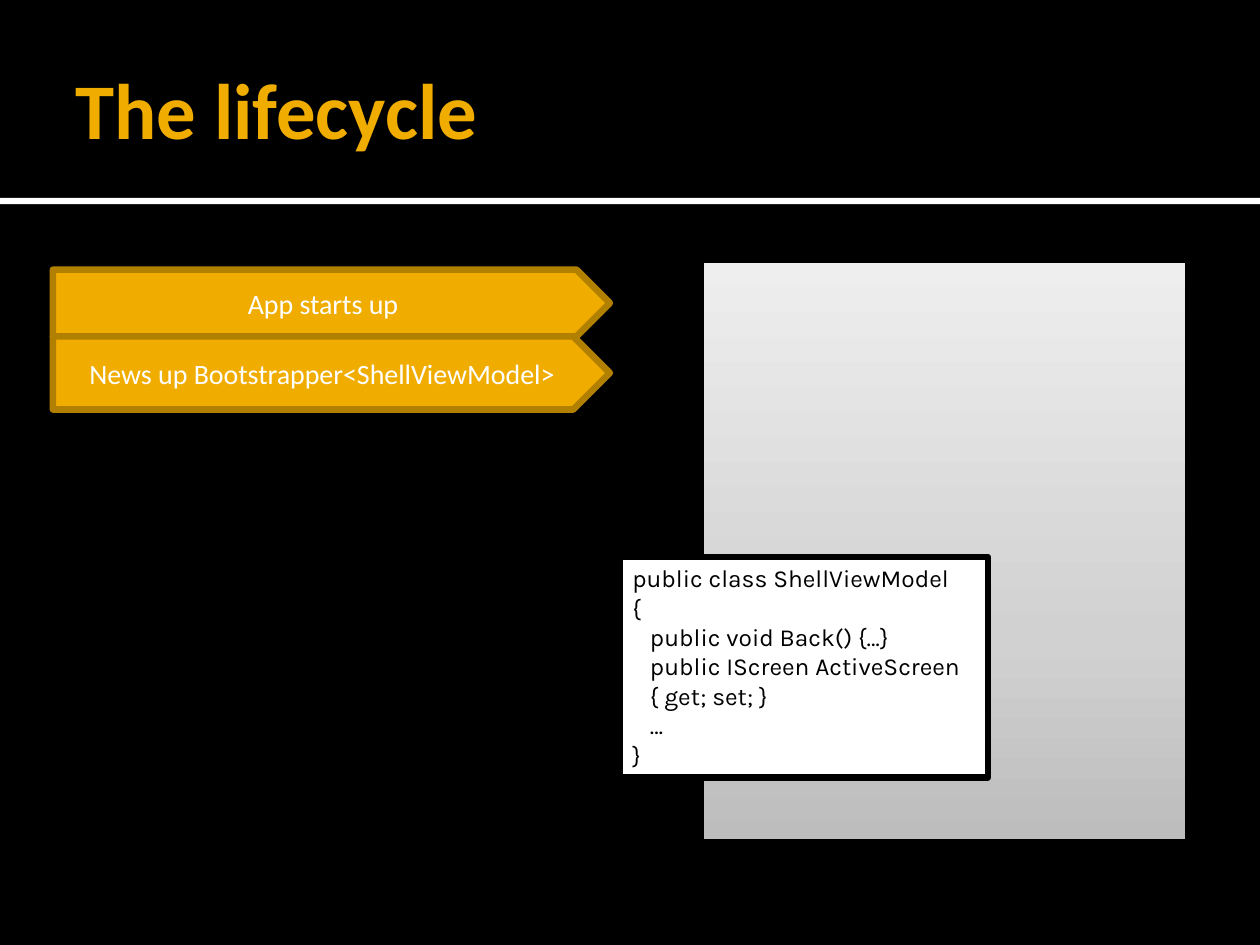
from copy import deepcopy

from pptx import Presentation
from pptx.dml.color import RGBColor
from pptx.enum.shapes import MSO_SHAPE
from pptx.enum.text import MSO_ANCHOR, MSO_AUTO_SIZE, PP_ALIGN
from pptx.oxml.ns import qn
from pptx.util import Inches, Pt

RECTANGLE, PENTAGON = MSO_SHAPE.RECTANGLE, MSO_SHAPE.PENTAGON
MIDDLE, TOP = MSO_ANCHOR.MIDDLE, MSO_ANCHOR.TOP
LEFT, CENTER = PP_ALIGN.LEFT, PP_ALIGN.CENTER
NO_FIT, GROW = MSO_AUTO_SIZE.NONE, MSO_AUTO_SIZE.SHAPE_TO_FIT_TEXT
TITLE_ONLY = 5

COLORS = {"black": "000000", "white": "FFFFFF", "amber": "F0AD00", "dark amber": "B28000",
          "gray": "BDBDBD", "light gray": "D1D1D1", "pale gray": "EEEEEE"}
PANEL_STOPS = [(0, "gray"), (0.35, "light gray"), (1, "pale gray")]
HEADING_FONT, CODE_FONT = "Calibri", "Karla"
BORDER = 3.78
CODE_INDENT = 0.14

STEPS = [("App starts up", 0.53), ("News up Bootstrapper<ShellViewModel>", 0.58)]
CODE = [  # (indent level, line)
    (0, "public class ShellViewModel"),
    (0, "{"),
    (1, "public void Back() {…}"),
    (1, "public IScreen ActiveScreen"),
    (1, "{ get; set; }"),
    (1, "…"),
    (0, "}"),
]


def rgb(name):
    return RGBColor.from_string(COLORS[name])


class LifecycleSlide:
    def __init__(self, presentation):
        self.slide = presentation.slides.add_slide(presentation.slide_layouts[TITLE_ONLY])
        background = self.slide.background.fill
        background.solid()
        background.fore_color.rgb = rgb("black")

    def add_text(self, paragraph, text, font, size, color, align=LEFT, bold=False):
        paragraph.alignment = align
        run = paragraph.add_run()
        run.text = text
        run.font.name = font
        run.font.size = Pt(size)
        run.font.bold = bold
        run.font.color.rgb = rgb(color)

    def title(self, text, left, top, width, height):
        shape = self.slide.shapes.title
        shape.left, shape.top = Inches(left), Inches(top)
        shape.width, shape.height = Inches(width), Inches(height)
        frame = shape.text_frame
        frame.auto_size = NO_FIT
        frame.vertical_anchor = MIDDLE
        frame.margin_left = Inches(0.1)
        frame.margin_right = frame.margin_top = frame.margin_bottom = Inches(0.05)
        self.add_text(frame.paragraphs[0], text, HEADING_FONT, 45, "amber", bold=True)

    def box(self, kind, left, top, width, height, fill=None, line=None, line_width=BORDER):
        shape = self.slide.shapes.add_shape(
            kind, Inches(left), Inches(top), Inches(width), Inches(height))
        shape.shadow.inherit = False
        if fill:
            shape.fill.solid()
            shape.fill.fore_color.rgb = rgb(fill)
        if line:
            shape.line.color.rgb = rgb(line)
            shape.line.width = Pt(line_width)
        else:
            shape.line.fill.background()
        return shape

    def gradient_panel(self, left, top, width, height):
        shape = self.box(RECTANGLE, left, top, width, height, line="black", line_width=0.5)
        shape.fill.gradient()
        shape.fill.gradient_angle = 90
        # The default gradient has two stops; add the third
        first_stop = shape.element.spPr.find(".//" + qn("a:gs"))
        first_stop.addnext(deepcopy(first_stop))
        for stop, (position, color) in zip(shape.fill.gradient_stops, PANEL_STOPS):
            stop.position = position
            stop.color.rgb = rgb(color)

    def step(self, text, left, top, width, height):
        shape = self.box(PENTAGON, left, top, width, height, "amber", "dark amber")
        frame = shape.text_frame
        frame.vertical_anchor = MIDDLE
        self.add_text(frame.paragraphs[0], text, HEADING_FONT, 16, "white", CENTER)

    def code(self, lines, left, top, width, height):
        shape = self.box(RECTANGLE, left, top, width, height, "white", "black")
        frame = shape.text_frame
        frame.word_wrap = True
        frame.auto_size = GROW
        frame.vertical_anchor = TOP
        for index, (level, text) in enumerate(lines):
            paragraph = frame.add_paragraph() if index else frame.paragraphs[0]
            self.add_text(paragraph, text, CODE_FONT, 14, "black")
            if level:
                properties = paragraph._p.get_or_add_pPr()
                properties.set("marL", str(Inches(level * CODE_INDENT)))


def main():
    presentation = Presentation()
    presentation.slide_width, presentation.slide_height = Inches(10), Inches(7.5)
    lifecycle = LifecycleSlide(presentation)

    # Heading with its rule
    lifecycle.title("The lifecycle", 0.5, 0.17, 9, 1.37)
    lifecycle.box(RECTANGLE, 0, 1.57, 10, 0.05, "white")

    # Application panel
    lifecycle.gradient_panel(5.58, 2.08, 3.83, 4.58)

    # Steps, stacked without a gap
    top = 2.14
    for text, height in STEPS:
        lifecycle.step(text, 0.42, top, 4.42, height)
        top += height

    # View model code
    lifecycle.code(CODE, 4.92, 4.42, 2.92, 1.75)

    presentation.save("out.pptx")


if __name__ == "__main__":
    main()
